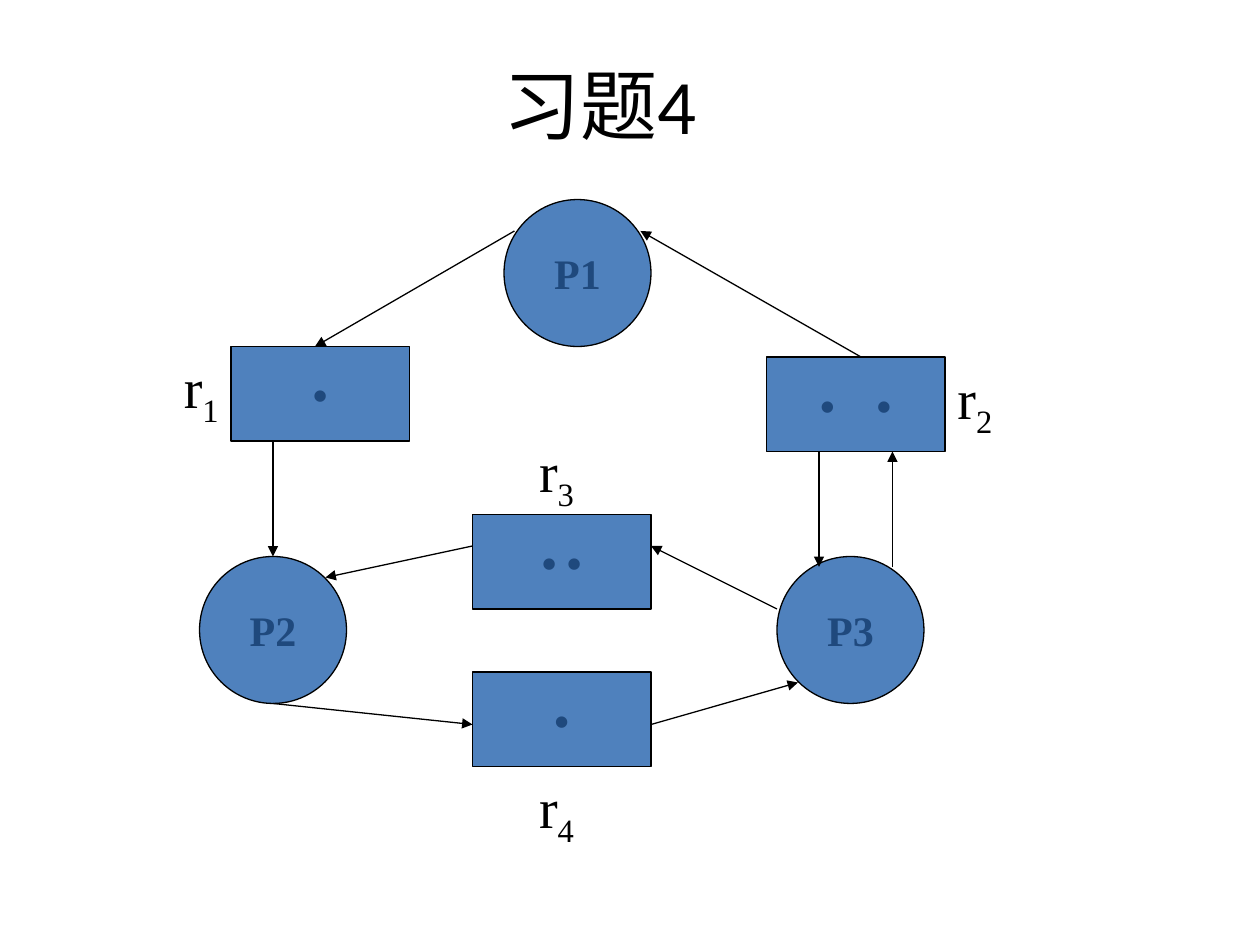
import pptx
import pptx.dml.color
import pptx.enum.dml
import pptx.enum.shapes
import pptx.enum.text
import pptx.oxml
import pptx.oxml.ns
import pptx.util

Pt = pptx.util.Pt
MSO_SHAPE = pptx.enum.shapes.MSO_SHAPE
ALIGN = pptx.enum.text.PP_ALIGN
ANCHOR = pptx.enum.text.MSO_ANCHOR
AUTO_SIZE = pptx.enum.text.MSO_AUTO_SIZE

RESOURCE_W, RESOURCE_H = 102, 54
PROCESS_SIZE = 84
LABEL_W, LABEL_H = 72, 51


def rgb(hex_string):
    return pptx.dml.color.RGBColor.from_string(hex_string)


class Graph:
    """Draws the parts of a resource allocation graph; lengths in points."""
    ink = "000000"
    fill = "4F81BD"
    node_ink = "1F497D"
    serif = "Times New Roman"

    def __init__(self, slide):
        self.slide = slide

    def font(self, p, name, size, color, bold=False):
        p.font.name = name
        p.font.size = Pt(size)
        p.font.bold = bold
        p.font.color.rgb = rgb(color)

    def outline(self, sp):
        sp.line.color.rgb = rgb(self.ink)
        sp.line.width = Pt(0.75)

    def title(self, text, x, y, w, h):
        sp = self.slide.shapes.title
        sp.left, sp.top, sp.width, sp.height = Pt(x), Pt(y), Pt(w), Pt(h)
        tf = sp.text_frame
        tf.text = text
        tf.auto_size = AUTO_SIZE.NONE
        tf.vertical_anchor = ANCHOR.MIDDLE
        p = tf.paragraphs[0]
        p.alignment = ALIGN.CENTER
        self.font(p, "Calibri", 44, self.ink)

    def node(self, shape, x, y, w, h, parts, gap=0):
        """Filled shape; gap widens the space that separates the parts."""
        sp = self.slide.shapes.add_shape(shape, Pt(x), Pt(y), Pt(w), Pt(h))
        sp.shadow.inherit = False
        sp.fill.solid()
        sp.fill.fore_color.rgb = rgb(self.fill)
        self.outline(sp)
        tf = sp.text_frame
        tf.word_wrap = False
        tf.vertical_anchor = ANCHOR.MIDDLE
        p = tf.paragraphs[0]
        p.alignment = ALIGN.CENTER
        self.font(p, self.serif, 24, self.node_ink, bold=True)
        for i, part in enumerate(parts):
            if i:
                r = p.add_run()
                r.text = " "
                if gap:
                    r.font._element.set("spc", str(gap * 100))
            p.add_run().text = part

    def process(self, name, x, y):
        self.node(MSO_SHAPE.OVAL, x, y, PROCESS_SIZE, PROCESS_SIZE, [name])

    def resource(self, units, x, y, gap=0):
        self.node(MSO_SHAPE.RECTANGLE, x, y, RESOURCE_W, RESOURCE_H,
                  ["•"] * units, gap)

    def label(self, index, x, y, align):
        sp = self.slide.shapes.add_textbox(Pt(x), Pt(y), Pt(LABEL_W), Pt(LABEL_H))
        tf = sp.text_frame
        tf.word_wrap = True
        tf.auto_size = AUTO_SIZE.SHAPE_TO_FIT_TEXT
        p = tf.paragraphs[0]
        p.alignment = align
        p.space_before = Pt(20)
        self.font(p, self.serif, 32, self.ink)
        p.add_run().text = "r"
        r = p.add_run()
        r.text = str(index)
        r.font._element.set("baseline", "-25000")

    def arrow(self, start, end):
        sp = self.slide.shapes.add_connector(
            pptx.enum.shapes.MSO_CONNECTOR.STRAIGHT, *map(Pt, start + end))
        self.outline(sp)
        ln = sp.line._get_or_add_ln()
        ln.append(pptx.oxml.parse_xml(
            f'<a:tailEnd {pptx.oxml.ns.nsdecls("a")} type="triangle"/>'))
        sp._element.spPr.append(pptx.oxml.parse_xml(
            f'<a:effectLst {pptx.oxml.ns.nsdecls("a")}/>'))


def main():
    prs = pptx.Presentation()
    prs.slide_width, prs.slide_height = Pt(720), Pt(540)
    graph = Graph(prs.slides.add_slide(prs.slide_layouts[5]))

    graph.title("习题4", 37, 26, 612, 66)

    graph.resource(1, 132, 198)
    graph.resource(2, 270, 294)
    graph.resource(2, 438, 204, gap=18)
    graph.resource(1, 270, 384)

    for name, x, y in [("P2", 114, 318), ("P3", 444, 318), ("P1", 288, 114)]:
        graph.process(name, x, y)

    labels = [(60, 198, ALIGN.RIGHT), (540, 204, ALIGN.LEFT),
              (282, 246, ALIGN.CENTER), (282, 438, ALIGN.CENTER)]
    for index, (x, y, align) in enumerate(labels, 1):
        graph.label(index, x, y, align)

    arrows = [
        ((294, 132), (180, 198)),  # P1 to r1
        ((156, 252), (156, 318)),  # r1 to P2
        ((156, 402), (270, 414)),  # P2 to r4
        ((372, 414), (456, 390)),  # r4 to P3
        ((270, 312), (186, 330)),  # r3 to P2
        ((444, 348), (372, 312)),  # P3 to r3
        ((468, 258), (468, 324)),  # r2 to P3
        ((510, 324), (510, 258)),  # P3 to r2
        ((492, 204), (366, 132)),  # r2 to P1
    ]
    for start, end in arrows:
        graph.arrow(start, end)

    prs.save("out.pptx")


if __name__ == "__main__":
    main()
